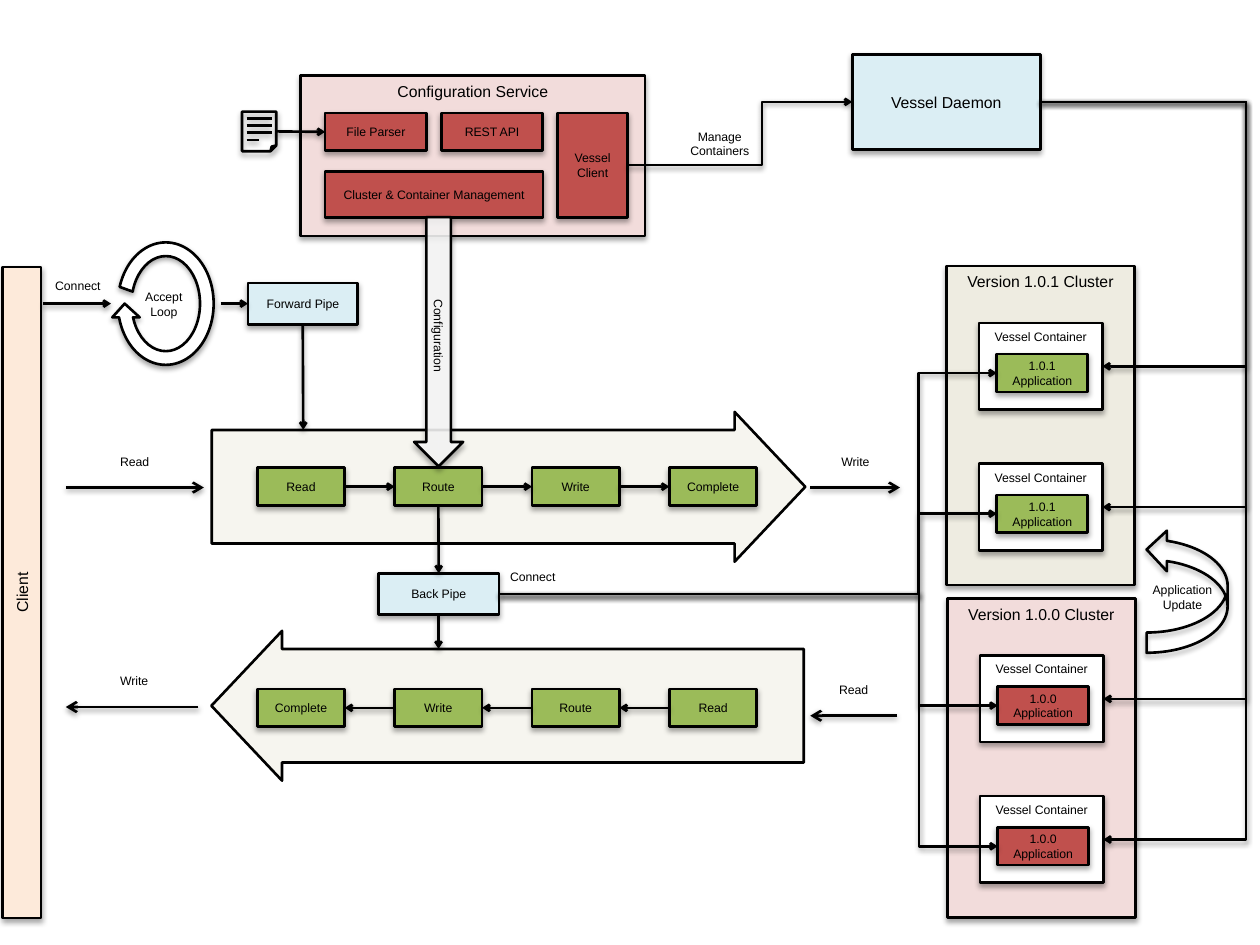
from dataclasses import dataclass
from typing import Optional

import pptx
import pptx.dml.color
import pptx.enum.shapes
import pptx.enum.text
import pptx.oxml.ns
import pptx.util
from lxml import etree

Pt = pptx.util.Pt
qn = pptx.oxml.ns.qn
Shape = pptx.enum.shapes.MSO_SHAPE
Connector = pptx.enum.shapes.MSO_CONNECTOR
Align = pptx.enum.text.PP_ALIGN
Anchor = pptx.enum.text.MSO_ANCHOR

BLACK, WHITE = "000000", "FFFFFF"
RED, GREEN = "C0504D", "9BBB59"
BLUE, PINK, SAND, PEACH = "DBEEF4", "F2DCDB", "EEECE1", "FDEADA"
TOP, LEFT, BOTTOM, RIGHT = range(4)  # connection sites of a rectangle


@dataclass
class Box:
    left: float
    top: float
    width: float
    height: float
    text: str = ""
    fill: Optional[str] = None
    size: float = 7
    anchor: Anchor = Anchor.MIDDLE
    kind: Shape = Shape.RECTANGLE
    rotation: float = 0
    opacity: int = 100


@dataclass
class Label:
    text: str
    left: float
    top: float
    width: float
    height: float
    align: Align = Align.CENTER


@dataclass
class Flow:
    start: tuple[float, float]
    end: tuple[float, float]
    head: Optional[str] = "sm"


def colour(value: str) -> pptx.dml.color.RGBColor:
    return pptx.dml.color.RGBColor.from_string(value)


def write(frame, text: str, *, size: float = 7, align: Align = Align.CENTER,
          anchor: Anchor = Anchor.MIDDLE) -> None:
    frame.word_wrap = True
    frame.vertical_anchor = anchor
    for index, line in enumerate(text.split("\n")):
        paragraph = frame.paragraphs[0] if index == 0 else frame.add_paragraph()
        paragraph.alignment = align
        run = paragraph.add_run()
        run.text = line
        run.font.name = "Arial"
        run.font.size = Pt(size)
        run.font.color.rgb = colour(BLACK)


def outline(shape) -> None:
    shape.line.color.rgb = colour(BLACK)
    shape.line.width = Pt(1.5)


def paint(shape, fill: Optional[str], opacity: int = 100) -> None:
    outline(shape)
    shape.shadow.inherit = False
    if fill is None:
        shape.fill.background()
        return
    shape.fill.solid()
    shape.fill.fore_color.rgb = colour(fill)
    if opacity < 100:
        solid = shape.element.spPr.find(qn("a:solidFill"))
        etree.SubElement(solid[0], qn("a:alpha"), val=str(opacity * 1000))


def cast_shadow(shape, distance: float, opacity: int) -> None:
    properties = shape.element.spPr
    effects = properties.find(qn("a:effectLst"))
    if effects is None:
        effects = etree.SubElement(properties, qn("a:effectLst"))
    shadow = etree.SubElement(effects, qn("a:outerShdw"), blurRad=str(Pt(3.1)),
                              dist=str(Pt(distance)), dir="5400000", rotWithShape="0")
    black = etree.SubElement(shadow, qn("a:srgbClr"), val=BLACK)
    etree.SubElement(black, qn("a:alpha"), val=str(opacity * 1000))


def draw_box(shapes, box: Box):
    shape = shapes.add_shape(box.kind, Pt(box.left), Pt(box.top), Pt(box.width), Pt(box.height))
    shape.rotation = box.rotation
    paint(shape, box.fill, box.opacity)
    cast_shadow(shape, 1.8, 35)
    if box.text:
        write(shape.text_frame, box.text, size=box.size, anchor=box.anchor)
    return shape


def draw_label(shapes, label: Label) -> None:
    area = shapes.add_textbox(Pt(label.left), Pt(label.top), Pt(label.width), Pt(label.height))
    write(area.text_frame, label.text, align=label.align)


def style_connector(connector, head: Optional[str]) -> None:
    outline(connector)
    if head:
        line = connector.element.spPr.find(qn("a:ln"))
        etree.SubElement(line, qn("a:tailEnd"), type="arrow", w=head, len=head)
    cast_shadow(connector, 1.6, 38)


def draw_flow(shapes, flow: Flow) -> None:
    ends = [Pt(value) for value in (*flow.start, *flow.end)]
    style_connector(shapes.add_connector(Connector.STRAIGHT, *ends), flow.head)


def link(shapes, source, source_site: int, target, target_site: int,
         bend: Optional[float] = None) -> None:
    """Glue an arrow between two boxes; bend is the x of an elbow's upright part."""
    kind = Connector.STRAIGHT if bend is None else Connector.ELBOW
    connector = shapes.add_connector(kind, 0, 0, 0, 0)
    connector.begin_connect(source, source_site)
    connector.end_connect(target, target_site)
    if bend is not None:
        ratio = (Pt(bend) - connector.begin_x) / (connector.end_x - connector.begin_x)
        guides = connector.element.spPr.find(qn("a:prstGeom")).get_or_add_avLst()
        etree.SubElement(guides, qn("a:gd"), name="adj1", fmla=f"val {round(ratio * 100000)}")
    style_connector(connector, "sm")


def draw_pipeline(shapes, tail: float, neck: float, tip: float, middle: float,
                  steps_top: float, steps: list[str]) -> list:
    """Draw a block arrow holding evenly spaced steps, listed from left to right."""
    shaft, head = 32.4, 42.8
    corners = [(neck, middle - head), (tip, middle), (neck, middle + head),
               (neck, middle + shaft), (tail, middle + shaft),
               (tail, middle - shaft), (neck, middle - shaft)]
    points = [(Pt(x), Pt(y)) for x, y in corners]
    builder = shapes.build_freeform(*points[0])
    builder.add_line_segments(points[1:], close=True)
    paint(builder.convert_to_shape(), SAND, 50)
    return [draw_box(shapes, Box(147 + 78.5 * column, steps_top, 50, 21.6, step, GREEN))
            for column, step in enumerate(steps)]


def draw_cluster(shapes, left: float, top: float, version: str, fill: str,
                 app_fill: str) -> list[tuple]:
    """Return the (container, application) pairs of the cluster."""
    draw_box(shapes, Box(left, top, 107.5, 182.3, f"Version {version} Cluster", fill, 9, Anchor.TOP))
    pairs = []
    for offset in (32.6, 113):
        x, y = left + 18.6, top + offset
        container = draw_box(shapes, Box(x, y, 70.6, 49.5, "Vessel Container", WHITE,
                                         anchor=Anchor.TOP))
        application = draw_box(shapes, Box(x + 10.2, y + 17.8, 52, 21.6,
                                           f"{version} Application", app_fill))
        pairs.append((container, application))
    return pairs


def draw_document(shapes) -> None:
    icon = shapes.add_group_shape().shapes
    draw_box(icon, Box(138.3, 63.8, 19.6, 22.6, kind=Shape.FOLDED_CORNER))
    for row, right in enumerate((155.5, 155.5, 155.5, 147.8)):
        y = 67.7 + 4.1 * row
        draw_flow(icon, Flow((141, y), (right, y), None))


def main() -> None:
    deck = pptx.Presentation()
    deck.slide_width, deck.slide_height = Pt(720), Pt(540)
    shapes = deck.slides.add_slide(deck.slide_layouts[6]).shapes

    replicas = draw_cluster(shapes, 541.3, 342, "1.0.0", PINK, RED)
    replicas += draw_cluster(shapes, 540.8, 152, "1.0.1", SAND, GREEN)
    draw_box(shapes, Box(655.2, 302.4, 46.3, 70.6, kind=Shape.CURVED_RIGHT_ARROW, rotation=180))

    forward = draw_pipeline(shapes, 121, 419.8, 460.2, 278.2, 267.3,
                            ["Read", "Route", "Write", "Complete"])
    backward = draw_pipeline(shapes, 459.3, 161.2, 120.8, 403.3, 393.7,
                             ["Complete", "Write", "Route", "Read"])
    for source, target in zip(forward, forward[1:]):
        link(shapes, source, RIGHT, target, LEFT)
    for target, source in zip(backward, backward[1:]):
        link(shapes, source, LEFT, target, RIGHT)

    draw_box(shapes, Box(141.7, 161.7, 62.8, 23.8, "Forward Pipe", BLUE))
    back_pipe = draw_box(shapes, Box(216.2, 327.6, 69, 23.6, "Back Pipe", BLUE))
    link(shapes, forward[1], BOTTOM, back_pipe, TOP)

    draw_box(shapes, Box(171.8, 43.1, 196.7, 91.7, "Configuration Service", PINK, 9, Anchor.TOP))
    draw_box(shapes, Box(185.8, 64.6, 58, 21.6, "File Parser", RED))
    draw_box(shapes, Box(252.2, 64.6, 58, 21.6, "REST API", RED))
    draw_box(shapes, Box(185.8, 98, 124.5, 26.2, "Cluster & Container Management", RED))
    engine_client = draw_box(shapes, Box(318.6, 64.6, 40, 59.6, "Vessel\nClient", RED))
    daemon = draw_box(shapes, Box(487, 31, 107.5, 54.5, "Vessel Daemon", BLUE, 9))
    draw_box(shapes, Box(-173.5, 327.6, 372, 21.8, "Client", PEACH, 9, rotation=270))

    accept_loop = draw_box(shapes, Box(63.4, 134.6, 62.6, 77.8, fill=WHITE,
                                       kind=Shape.CIRCULAR_ARROW, rotation=180))
    for index, value in enumerate((0.125, 11.42, 204.58, 11.99, 0.125)):
        accept_loop.adjustments[index] = value
    draw_box(shapes, Box(179.4, 181.3, 142.5, 28, "Configuration", WHITE,
                         kind=Shape.RIGHT_ARROW, rotation=90, opacity=85))

    link(shapes, engine_client, RIGHT, daemon, LEFT, 435.5)
    for container, application in replicas:
        link(shapes, back_pipe, RIGHT, application, LEFT, 525)
        link(shapes, daemon, RIGHT, container, RIGHT, 712)
    draw_document(shapes)

    for flow in (
        Flow((173, 185.5), (173.3, 245.6)),
        Flow((126, 173.5), (141.7, 173.5)),
        Flow((250.6, 351.2), (250.6, 370.8)),
        Flow((24.5, 173.5), (63.4, 173.5)),
        Flow((157.9, 75.1), (185.8, 75.4)),
        Flow((37.6, 278.6), (116.5, 278.6), "med"),
        Flow((113.4, 404), (37.6, 404), "med"),
        Flow((463, 278.6), (514.3, 278.6), "med"),
        Flow((512.6, 409), (463, 409), "med"),
    ):
        draw_flow(shapes, flow)

    for label in (
        Label("Application\nUpdate", 649.4, 330.5, 52.6, 21.6),
        Label("Connect", 24.5, 152.3, 44, 21.6, Align.LEFT),
        Label("Connect", 284.4, 318.8, 59, 21.6, Align.LEFT),
        Label("Accept\nLoop", 54.7, 164.8, 77.8, 18),
        Label("Read", 37.4, 251.6, 79.2, 24.5),
        Label("Write", 39.6, 376.6, 74.2, 24.5),
        Label("Write", 463, 251.6, 51.5, 24.5),
        Label("Read", 463.7, 381.7, 48.2, 24.5),
        Label("Manage\nContainers", 387.2, 69.4, 48.2, 25.2),
    ):
        draw_label(shapes, label)

    deck.save("out.pptx")


if __name__ == "__main__":
    main()
